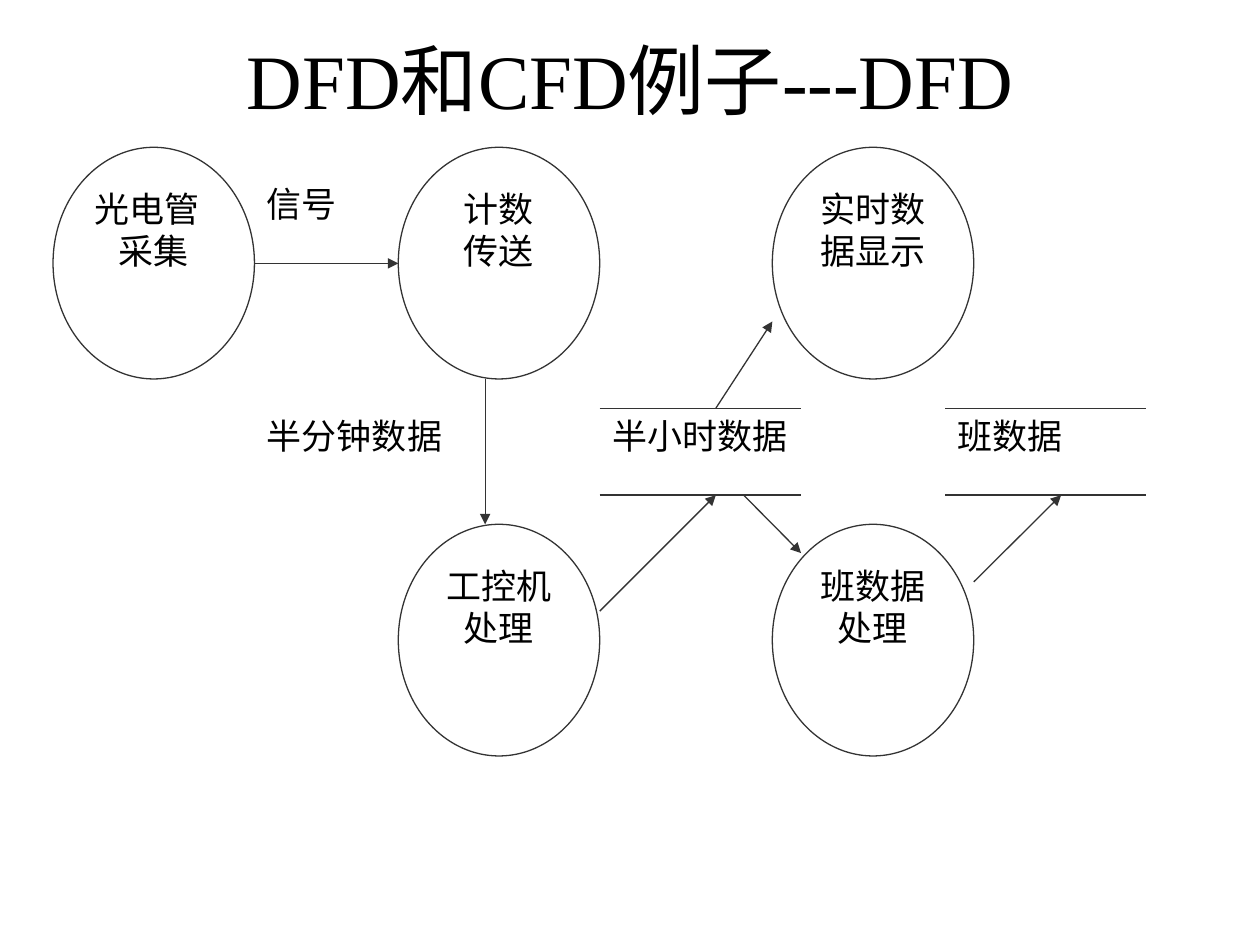
from lxml import etree
from pptx import Presentation
from pptx.dml.color import RGBColor
from pptx.enum.shapes import MSO_CONNECTOR, MSO_SHAPE
from pptx.enum.text import MSO_ANCHOR, PP_ALIGN
from pptx.oxml.ns import qn
from pptx.util import Cm, Pt

STRAIGHT = MSO_CONNECTOR.STRAIGHT
OVAL, RECTANGLE = MSO_SHAPE.OVAL, MSO_SHAPE.RECTANGLE
TOP, MIDDLE = MSO_ANCHOR.TOP, MSO_ANCHOR.MIDDLE
CENTER, LEFT, JUSTIFY = PP_ALIGN.CENTER, PP_ALIGN.LEFT, PP_ALIGN.JUSTIFY

FONT = "Times New Roman"
BLACK, WHITE, GRAY = "000000", "FFFFFF", "333333"
COLUMNS = (1.07, 8.03, 15.57)
ROWS = (2.97, 10.57)
PROCESS_WIDTH, PROCESS_HEIGHT = 4.06, 4.67
STORE_TOP, STORE_HEIGHT = 8.23, 1.75
STORE_BOTTOM = STORE_TOP + STORE_HEIGHT
LABEL_WIDTH = 4.65

PROCESSES = (
    (0, 0, ("光电管", "采集"), (LEFT, CENTER)),
    (1, 0, ("计数", "传送"), (CENTER, CENTER)),
    (1, 1, ("工控机", "处理"), (CENTER, CENTER)),
    (2, 0, ("实时数据显示",), (CENTER,)),
    (2, 1, ("班数据", "处理"), (CENTER, CENTER)),
)
FLOW_LABELS = (
    ("信号", 5.13, 3.56, 2.9),
    ("半分钟数据", 5.13, STORE_TOP, LABEL_WIDTH),
)
STORES = (("半小时数据", 12.09), ("班数据", 19.05))
FLOWS = (
    ((5.13, 5.31), (8.03, 5.31)),
    ((9.78, 7.64), (9.78, 10.57)),
    ((12.09, 12.32), (14.43, STORE_BOTTOM)),
    ((14.43, STORE_TOP), (15.57, 6.48)),
    ((14.99, STORE_BOTTOM), (16.15, 11.15)),
    ((19.63, 11.73), (21.39, STORE_BOTTOM)),
)


def color(value):
    """Turn a hex string into a colour."""
    return RGBColor.from_string(value)


def write_text(shape, lines, alignments, size, anchor=TOP):
    """Fill a shape with one paragraph per line."""
    frame = shape.text_frame
    frame.word_wrap = True
    frame.vertical_anchor = anchor
    frame.text = "\n".join(lines)
    for paragraph, alignment in zip(frame.paragraphs, alignments):
        paragraph.alignment = alignment
        paragraph.font.name = FONT
        paragraph.font.size = Pt(size)
        paragraph.font.color.rgb = color(BLACK)


def add_title(slide, text):
    """Add the centred slide title."""
    box = slide.shapes.add_textbox(Cm(1.9), Cm(0), Cm(21.6), Cm(3.18))
    write_text(box, (text,), (CENTER,), 44, MIDDLE)


def add_white_shape(slide, kind, left, top, width, height):
    """Add a white shape without shadow or outline."""
    shape = slide.shapes.add_shape(kind, Cm(left), Cm(top), Cm(width), Cm(height))
    shape.shadow.inherit = False
    shape.fill.solid()
    shape.fill.fore_color.rgb = color(WHITE)
    shape.line.fill.background()
    return shape


def add_label(slide, text, left, top, width):
    """Add a white label box."""
    shape = add_white_shape(slide, RECTANGLE, left, top, width, STORE_HEIGHT)
    write_text(shape, (text,), (JUSTIFY,), 20)


def add_process(slide, column, row, lines, alignments):
    """Add an outlined process ellipse on the grid."""
    shape = add_white_shape(slide, OVAL, COLUMNS[column], ROWS[row],
                            PROCESS_WIDTH, PROCESS_HEIGHT)
    shape.line.color.rgb = color(GRAY)
    shape.line.width = Pt(0.75)
    write_text(shape, lines, alignments, 20)


def add_line(slide, start, end, arrow=False):
    """Add a thin line, with an arrowhead at its end if asked."""
    points = [Cm(value) for value in (*start, *end)]
    connector = slide.shapes.add_connector(STRAIGHT, *points)
    connector.line.color.rgb = color(GRAY)
    connector.line.width = Pt(0.75)
    if arrow:
        line = connector.line._get_or_add_ln()
        etree.SubElement(line, qn("a:tailEnd"), type="triangle")
    etree.SubElement(connector._element.spPr, qn("a:effectLst"))


def add_store(slide, text, left):
    """Add a data store: a label between two lines."""
    add_label(slide, text, left, STORE_TOP, LABEL_WIDTH)
    for height in (STORE_TOP, STORE_BOTTOM):
        add_line(slide, (left, height), (left + PROCESS_WIDTH, height))


def main():
    """Build the data flow diagram slide."""
    presentation = Presentation()
    presentation.slide_width, presentation.slide_height = Cm(25.4), Cm(19.05)
    slide = presentation.slides.add_slide(presentation.slide_layouts[6])
    add_title(slide, "DFD和CFD例子---DFD")
    for label in FLOW_LABELS:
        add_label(slide, *label)
    for process in PROCESSES:
        add_process(slide, *process)
    for store in STORES:
        add_store(slide, *store)
    for start, end in FLOWS:
        add_line(slide, start, end, arrow=True)
    presentation.save("out.pptx")


if __name__ == "__main__":
    main()
